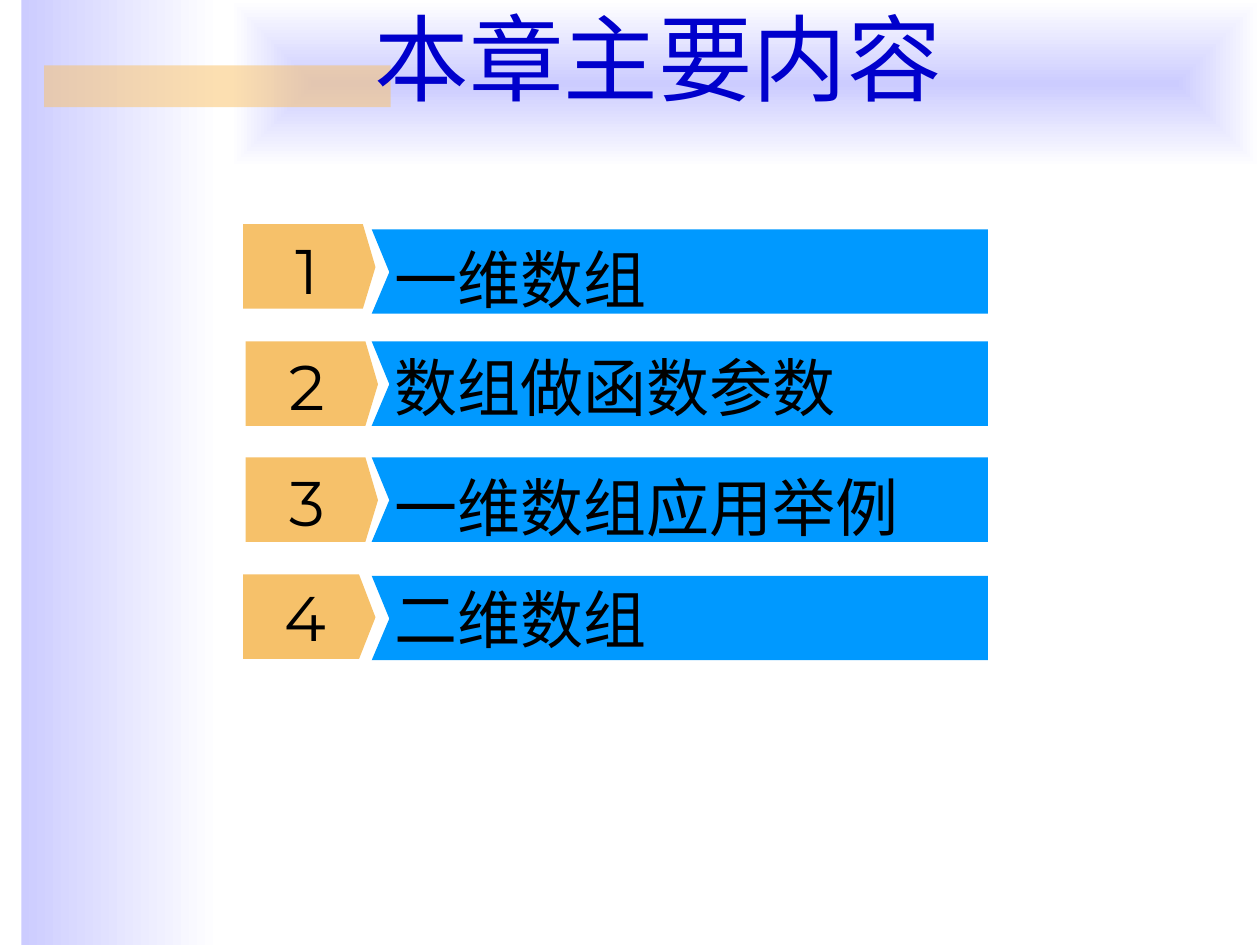
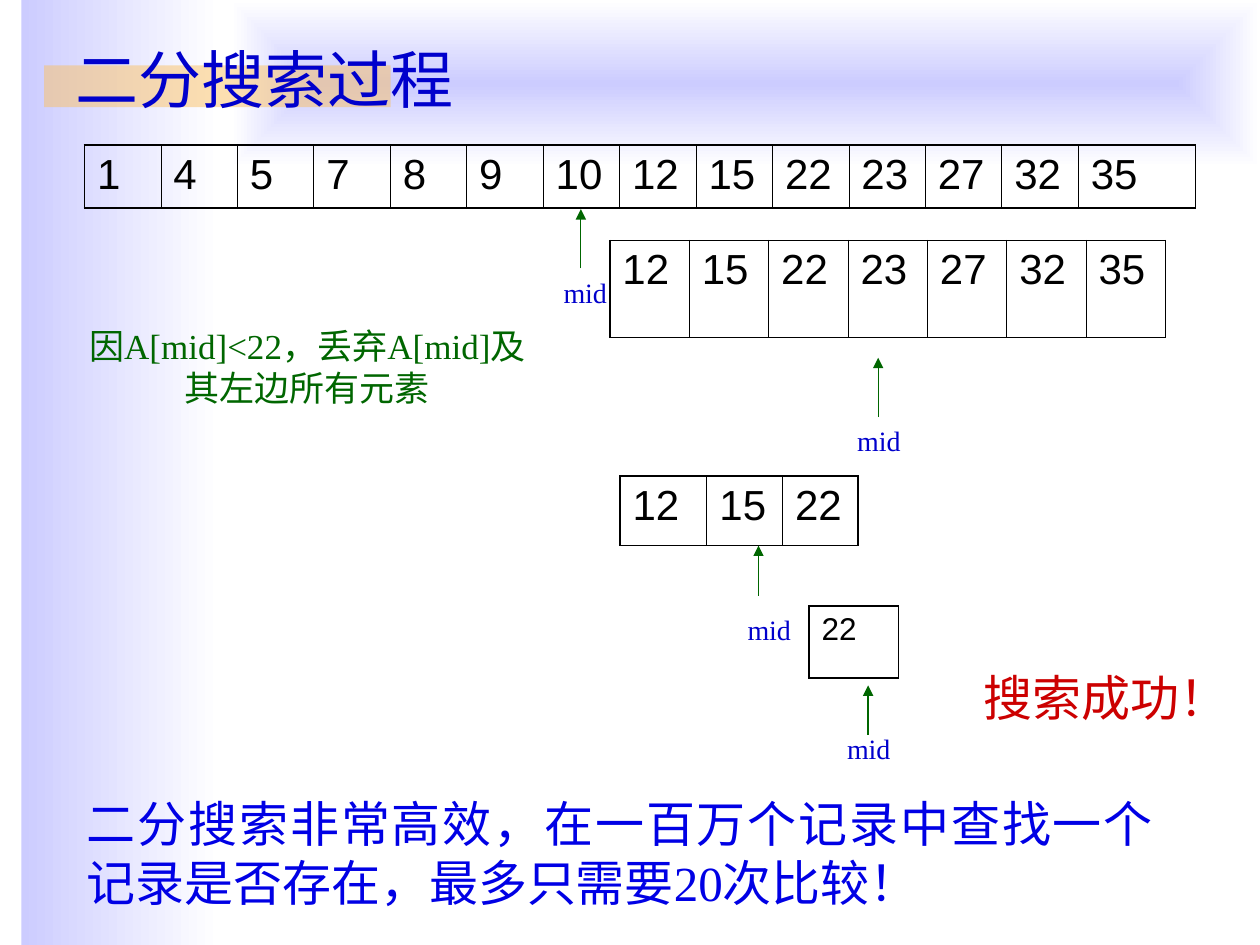
from pptx import Presentation
from pptx import util as u
from pptx.dml.color import RGBColor
from pptx.enum import shapes, text
from pptx.oxml import parse_xml
from pptx.oxml.ns import nsdecls, qn

PX = 9144
LAVENDER = RGBColor(0xCC, 0xCC, 0xFF)
WHITE = RGBColor(0xFF, 0xFF, 0xFF)
BLACK = RGBColor(0, 0, 0)
AMBER = RGBColor(0xFA, 0xC1, 0x64)
TAG = RGBColor(0xF6, 0xC1, 0x6A)
BAR = RGBColor(0x00, 0x99, 0xFF)
NAVY = RGBColor(0x00, 0x00, 0xCC)
BLUE = RGBColor(0x00, 0x00, 0xE5)
GREEN = RGBColor(0x00, 0x66, 0x00)
RED = RGBColor(0xCC, 0x00, 0x00)
SERIF, SANS, DIGITS, CHINESE = "Times New Roman", "Arial", "Montserrat", "Noto Sans CJK SC"
THIN, THICK = 0.45, 1.08
ALIGN, ANCHOR = text.PP_ALIGN, text.MSO_ANCHOR


def px(*lengths):
    return [u.Emu(round(length * PX)) for length in lengths]


def drawing(xml):
    return parse_xml(xml.replace(">", f" {nsdecls('a')}>", 1))


def write(frame, words, size, color, font=SERIF, align=ALIGN.LEFT, shadow=False):
    para = frame.paragraphs[0]
    para.alignment = align
    para.space_before = u.Pt(0)
    span = para.add_run()
    span.text = words
    span.font.size = u.Pt(size)
    span.font.name = font
    span.font.color.rgb = color
    latin = span.font._element.find(qn("a:latin"))
    latin.addnext(drawing(f'<a:ea typeface="{CHINESE}"></a:ea>'))
    if shadow:
        latin.addprevious(drawing(
            '<a:effectLst><a:outerShdw dist="25400" dir="2700000">'
            '<a:srgbClr val="FFFFFF"/></a:outerShdw></a:effectLst>'))


def set_frame(frame, anchor, inset=True):
    frame.word_wrap = True
    frame.auto_size = text.MSO_AUTO_SIZE.NONE
    frame.vertical_anchor = anchor
    frame.margin_left, frame.margin_right = px(*[10 * inset] * 2)
    frame.margin_top, frame.margin_bottom = px(*[5 * inset] * 2)


def add_text(page, box, words, size, color, anchor=ANCHOR.TOP, inset=True, **style):
    frame = page.shapes.add_textbox(*px(*box)).text_frame
    set_frame(frame, anchor, inset)
    write(frame, words, size, color, **style)


def add_title(page, box, words, size, anchor, **style):
    title = page.shapes.title
    title.left, title.top, title.width, title.height = px(*box)
    set_frame(title.text_frame, anchor)
    write(title.text_frame, words, size, NAVY, **style)


def paint(shape, color):
    shape.fill.solid()
    shape.fill.fore_color.rgb = color
    shape.line.fill.background()
    shape.shadow.inherit = False


def add_band(page, box):
    band = page.shapes.add_shape(shapes.MSO_SHAPE.RECTANGLE, *px(*box))
    paint(band, AMBER)
    return band


def fade(band):
    band.fill.gradient()
    band.fill.gradient_angle = 0
    for stop, color in zip(band.fill.gradient_stops, (LAVENDER, WHITE)):
        stop.color.rgb = color


def decorate_master(deck, page):
    side = add_band(page, (17, 0, 158, 750))
    fade(side)
    header = add_band(page, (183, 0, 817, 133))
    fade(header)
    linear = header.element.spPr.find(qn("a:gradFill")).find(qn("a:lin"))
    linear.addnext(drawing(
        '<a:path path="rect"><a:fillToRect l="50000" t="50000" r="50000" b="50000"/></a:path>'))
    linear.getparent().remove(linear)
    accent = add_band(page, (35, 52, 275, 33))
    color = accent.element.spPr.find(qn("a:solidFill"))[0]
    color.append(drawing('<a:alpha val="50000"></a:alpha>'))
    tree = deck.slide_master.shapes.element
    for index, band in enumerate((side, header, accent)):
        band.element.nvSpPr.cNvPr.set("id", str(100 + index))
        tree.insert(2 + index, band.element)


def add_outline(page, left, top, points, color):
    (x, y), *rest = [(left + dx, top + dy) for dx, dy in points]
    builder = page.shapes.build_freeform(x, y, scale=PX)
    builder.add_line_segments(rest, close=True)
    paint(builder.convert_to_shape(), color)


def add_chapter(page, number, words, tag, bar_top, label_top, shoulder=95):
    left, top = tag
    add_outline(page, left, top,
                [(0, 0), (shoulder, 0), (105, 34), (shoulder, 67), (0, 67)], TAG)
    add_outline(page, 295, bar_top,
                [(0, 0), (14, 34), (0, 67), (489, 67), (489, 0)], BAR)
    add_text(page, (202, 108 + 92 * number, shoulder - 12, 27), str(number), 36, BLACK,
             anchor=ANCHOR.MIDDLE, inset=False, font=DIGITS, align=ALIGN.CENTER, shadow=True)
    add_text(page, (303, label_top, 470, 70), words, 36, BLACK)


def set_borders(cell, widths):
    properties = cell._tc.get_or_add_tcPr()
    for index, (side, width) in enumerate(zip("LRTB", widths)):
        properties.insert(index, drawing(
            f'<a:ln{side} w="{u.Pt(width)}"><a:solidFill><a:srgbClr val="{BLACK}"/>'
            f'</a:solidFill></a:ln{side}>'))


def add_array(page, left, top, height, columns, values, size=24):
    frame = page.shapes.add_table(1, len(values), *px(left, top, sum(columns), height))
    table = frame.table
    table.first_row = table.horz_banding = False
    last = len(values) - 1
    for index, (value, width) in enumerate(zip(values, columns)):
        table.columns[index].width, = px(width)
        cell = table.cell(0, index)
        cell.fill.background()
        set_borders(cell, (THIN if index else THICK, THIN if index < last else THICK,
                           THICK, THICK))
        write(cell.text_frame, str(value), size, BLACK, font=SANS)


def add_mid(page, x, tip, tail, label):
    arrow = page.shapes.add_connector(shapes.MSO_CONNECTOR.STRAIGHT, *px(x, tail, x, tip))
    arrow.line.color.rgb = GREEN
    arrow.line.width = u.Pt(0.75)
    arrow.line._get_or_add_ln().append(drawing('<a:tailEnd type="triangle"></a:tailEnd>'))
    arrow.element.spPr.append(drawing('<a:effectLst></a:effectLst>'))
    add_text(page, (*label, 79, 37), "mid", 16, NAVY,
             anchor=ANCHOR.BOTTOM, align=ALIGN.CENTER)


def build_contents(page):
    add_title(page, (123, 23, 799, 72), "本章主要内容", 54, ANCHOR.BOTTOM,
              font=CHINESE, align=ALIGN.CENTER)
    add_chapter(page, 1, "一维数组", (193, 178), 182, 186)
    add_chapter(page, 2, "数组做函数参数", (195, 271), 271, 272)
    add_chapter(page, 3, "一维数组应用举例", (195, 363), 363, 367)
    add_chapter(page, 4, "二维数组", (193, 456), 457, 456, shoulder=92)


def build_search(page):
    add_title(page, (50, 28, 900, 69), "二分搜索过程", 36, ANCHOR.MIDDLE)
    numbers = [1, 4, 5, 7, 8, 9, 10, 12, 15, 22, 23, 27, 32, 35]
    add_array(page, 67, 115, 50, [60.7] * 13 + [93], numbers)
    add_array(page, 484, 191, 77, [63] * 7, numbers[7:])
    add_array(page, 492, 378, 55, [69, 60, 60], numbers[7:10])
    add_array(page, 642, 481, 57, [71], numbers[9:10], size=18)
    add_mid(page, 461, 166, 213, (425, 213))
    add_mid(page, 697, 284, 331, (658, 331))
    add_mid(page, 602, 433, 473, (571, 481))
    add_mid(page, 689, 544, 583, (650, 575))
    add_text(page, (51, 252, 386, 77), "因A[mid]<22，丢弃A[mid]及其左边所有元素", 20, GREEN,
             anchor=ANCHOR.BOTTOM, align=ALIGN.CENTER)
    add_text(page, (752, 524, 213, 57), "搜索成功！", 28, RED,
             anchor=ANCHOR.BOTTOM, align=ALIGN.CENTER)
    add_text(page, (59, 625, 866, 104),
             "二分搜索非常高效，在一百万个记录中查找一个记录是否存在，最多只需要20次比较！",
             28, BLUE, align=ALIGN.JUSTIFY)


def main():
    deck = Presentation()
    deck.slide_width, deck.slide_height = px(1000, 750)
    title_only = deck.slide_layouts[5]
    contents, search = [deck.slides.add_slide(title_only) for _ in range(2)]
    decorate_master(deck, contents)
    build_contents(contents)
    build_search(search)
    deck.save("out.pptx")


if __name__ == "__main__":
    main()
